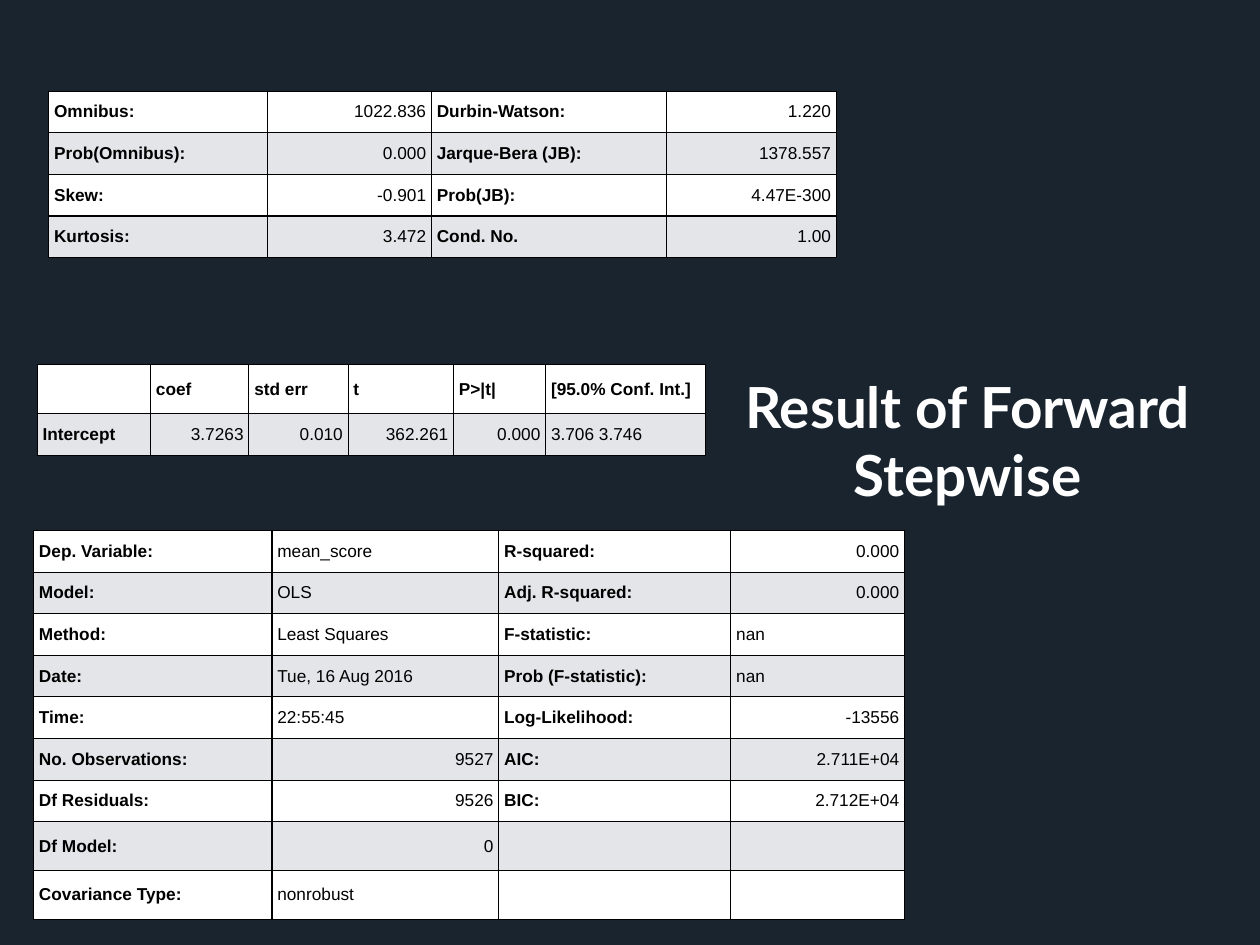
from lxml.etree import SubElement
from pptx import Presentation
from pptx.dml.color import RGBColor
from pptx.enum.text import MSO_ANCHOR, PP_ALIGN
from pptx.oxml.ns import qn
from pptx.util import Inches, Pt

NAVY = RGBColor(0x19, 0x24, 0x2F)
WHITE = RGBColor(0xFF, 0xFF, 0xFF)
GREY = RGBColor(0xE3, 0xE5, 0xE8)
BLACK = RGBColor(0x00, 0x00, 0x00)

ROW_HEIGHT = 0.47
TALL_ROW_HEIGHT = 0.55  # rows that hold a blank cell

OMNIBUS_TESTS = [
    ["Omnibus:", "1022.836", "Durbin-Watson:", "1.220"],
    ["Prob(Omnibus):", "0.000", "Jarque-Bera (JB):", "1378.557"],
    ["Skew:", "-0.901", "Prob(JB):", "4.47E-300"],
    ["Kurtosis:", "3.472", "Cond. No.", "1.00"],
]
COEFFICIENTS = [
    ["", "coef", "std err", "t", "P>|t|", "[95.0% Conf. Int.]"],
    ["Intercept", "3.7263", "0.010", "362.261", "0.000", "3.706 3.746"],
]
MODEL_SUMMARY = [
    ["Dep. Variable:", "mean_score", "R-squared:", "0.000"],
    ["Model:", "OLS", "Adj. R-squared:", "0.000"],
    ["Method:", "Least Squares", "F-statistic:", "nan"],
    ["Date:", "Tue, 16 Aug 2016", "Prob (F-statistic):", "nan"],
    ["Time:", "22:55:45", "Log-Likelihood:", "-13556"],
    ["No. Observations:", "9527", "AIC:", "2.711E+04"],
    ["Df Residuals:", "9526", "BIC:", "2.712E+04"],
    ["Df Model:", "0", "", ""],
    ["Covariance Type:", "nonrobust", "", ""],
]


def is_number(value):
    return set(value) <= set("0123456789.+-E")


class SlideBuilder:
    title_font = "Lato"
    table_font = "Arial"
    cell_margin = Inches(0.06)

    def __init__(self, slide):
        self.slide = slide

    def background(self, color):
        fill = self.slide.background.fill
        fill.solid()
        fill.fore_color.rgb = color

    def title(self, text, left, top, width, height):
        shape = self.slide.shapes.add_textbox(
            Inches(left), Inches(top), Inches(width), Inches(height))
        text_frame = shape.text_frame
        text_frame.word_wrap = True
        text_frame.margin_left = text_frame.margin_right = Inches(0.03)
        text_frame.margin_top = text_frame.margin_bottom = Inches(0.03)
        text_frame.text = text
        for paragraph in text_frame.paragraphs:
            paragraph.alignment = PP_ALIGN.CENTER
            self.format_runs(paragraph, self.title_font, 46, WHITE, True)

    def table(self, rows, left, top, column_widths, label_columns, header=False):
        heights = [ROW_HEIGHT if all(row) else TALL_ROW_HEIGHT for row in rows]
        table = self.slide.shapes.add_table(
            len(rows), len(column_widths), Inches(left), Inches(top),
            Inches(sum(column_widths)), Inches(sum(heights))).table
        table.first_row = False
        table.horz_banding = False
        for column, width in zip(table.columns, column_widths):
            column.width = Inches(width)
        for row_index, values in enumerate(rows):
            table.rows[row_index].height = Inches(heights[row_index])
            for column_index, value in enumerate(values):
                bold = column_index in label_columns or (header and row_index == 0)
                self.cell(table.cell(row_index, column_index), value, bold,
                          GREY if row_index % 2 else WHITE)

    def cell(self, cell, value, bold, color):
        cell.margin_left = cell.margin_right = self.cell_margin
        cell.margin_top = cell.margin_bottom = self.cell_margin
        cell.vertical_anchor = MSO_ANCHOR.MIDDLE
        self.borders(cell)
        cell.fill.solid()
        cell.fill.fore_color.rgb = color
        if value:
            cell.text_frame.text = value
            paragraph = cell.text_frame.paragraphs[0]
            paragraph.alignment = PP_ALIGN.RIGHT if is_number(value) else PP_ALIGN.LEFT
            self.format_runs(paragraph, self.table_font, 14, BLACK, bold)

    def borders(self, cell):
        properties = cell._tc.get_or_add_tcPr()
        for side in ("a:lnL", "a:lnR", "a:lnT", "a:lnB"):
            line = SubElement(properties, qn(side), w=str(Pt(1)))
            solid_fill = SubElement(line, qn("a:solidFill"))
            SubElement(solid_fill, qn("a:srgbClr"), val=str(BLACK))

    def format_runs(self, paragraph, font_name, size, color, bold):
        for run in paragraph.runs:
            run.font.name = font_name
            run.font.size = Pt(size)
            run.font.color.rgb = color
            run.font.bold = bold


def main():
    presentation = Presentation()
    presentation.slide_width = Inches(14.22)
    presentation.slide_height = Inches(10.67)
    builder = SlideBuilder(
        presentation.slides.add_slide(presentation.slide_layouts[6]))
    builder.background(NAVY)
    builder.title("Result of Forward\nStepwise", 7.99, 4.17, 5.86, 1.58)
    builder.table(MODEL_SUMMARY, 0.38, 5.99, [2.69, 2.56, 2.62, 1.96], (0, 2))
    builder.table(COEFFICIENTS, 0.42, 4.12, [1.28, 1.11, 1.12, 1.19, 1.04, 1.8],
                  (0,), header=True)
    builder.table(OMNIBUS_TESTS, 0.55, 1.03, [2.47, 1.85, 2.65, 1.92], (0, 2))
    presentation.save("out.pptx")


if __name__ == "__main__":
    main()
